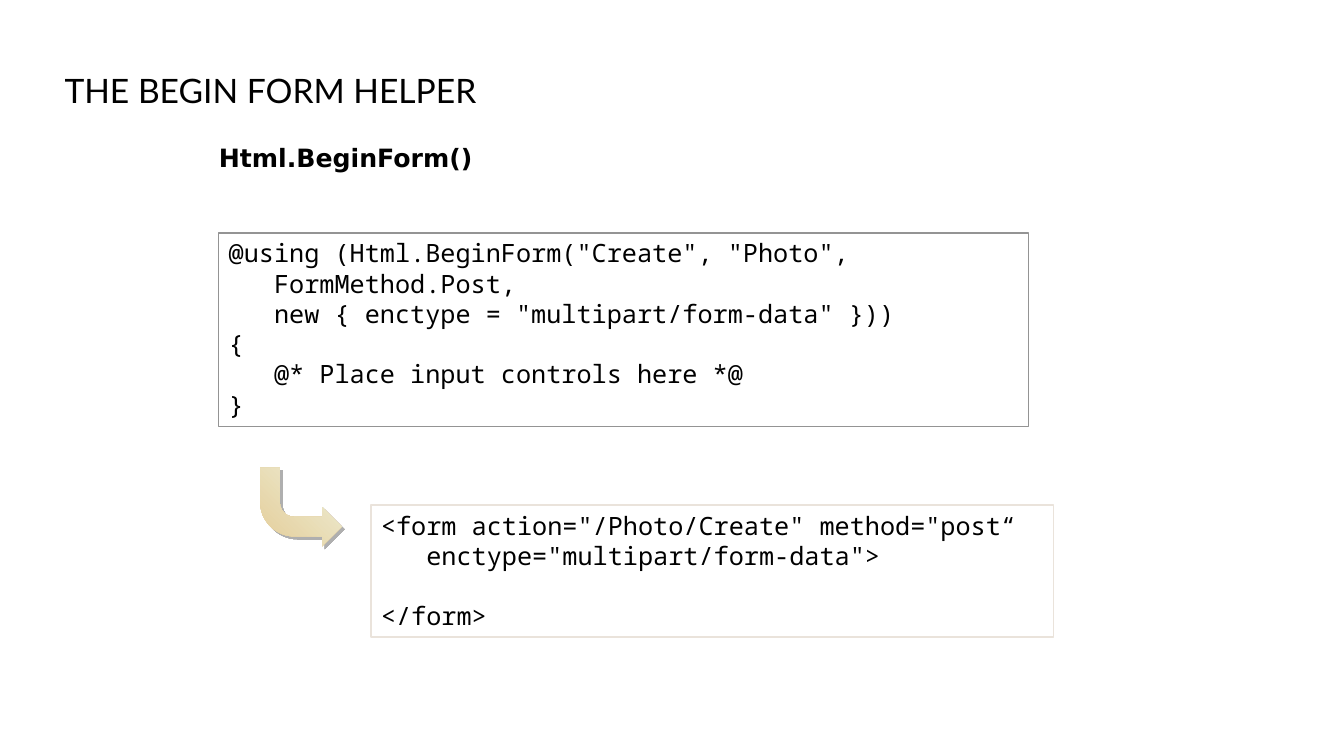
from pptx import Presentation
from pptx import util as u
from pptx.dml.color import RGBColor
from pptx.enum import shapes, text
from pptx.oxml import parse_xml
from pptx.oxml.ns import nsdecls

COLORS = {
    "ink": "000000",
    "paper": "FFFFFF",
    "razor_border": "949494",
    "html_border": "EAE3DB",
    "arrow_start": "E4CD9A",
    "arrow_end": "EEEFD7",
    "arrow_shadow": "AFAFAF",
}


def rgb(name):
    return RGBColor.from_string(COLORS[name])


def add_run(paragraph, wording, font, size, bold=False):
    run = paragraph.add_run()
    run.text = wording
    run.font.name = font
    run.font.size = u.Pt(size)
    run.font.bold = bold
    run.font.color.rgb = rgb("ink")


deck = Presentation()
deck.slide_width = u.Inches(13.33)
deck.slide_height = u.Inches(7.5)
slide = deck.slides.add_slide(deck.slide_layouts[6])

headings = [
    ("THE BEGIN FORM HELPER", (0.64, 0.25, 12.05, 0.9), "Lato", 24, False,
     text.MSO_ANCHOR.BOTTOM, (0, 0.05, 0.1, 0.05), 0.9),
    ("Html.BeginForm()", (2.17, 1.41, 8.88, 0.69), "DejaVu Sans", 18, True,
     text.MSO_ANCHOR.TOP, (0, 0, 0, 0), 1.0),
]
for wording, place, font, size, bold, anchor, margins, spacing in headings:
    heading = slide.shapes.add_textbox(*map(u.Inches, place)).text_frame
    heading.word_wrap = True
    heading.vertical_anchor = anchor
    (heading.margin_left, heading.margin_top,
     heading.margin_right, heading.margin_bottom) = map(u.Inches, margins)
    heading.paragraphs[0].line_spacing = spacing
    add_run(heading.paragraphs[0], wording, font, size, bold)

code_blocks = [
    ((2.17, 2.31, 8.03, 1.92), "razor_border", [
        ('@using (Html.BeginForm("Create", "Photo",', 0, 0),
        ("FormMethod.Post,", 1, 0),
        ('new { enctype = "multipart/form-data" }))', 1, 0),
        ("{", 0, 0),
        ("@* Place input controls here *@", 1, 0),
        ("}", 0, 0),
    ]),
    ((3.68, 5.01, 6.77, 1.31), "html_border", [
        ('<form action="/Photo/Create" method="post“', 0, 0),
        ('enctype="multipart/form-data">', 1, 0),
        ("</form>", 0, 21.5),
    ]),
]
for place, border, lines in code_blocks:
    code_box = slide.shapes.add_shape(
        shapes.MSO_SHAPE.RECTANGLE, *map(u.Inches, place))
    code_box.shadow.inherit = False
    code_box.fill.solid()
    code_box.fill.fore_color.rgb = rgb("paper")
    code_box.line.color.rgb = rgb(border)
    code_box.line.width = u.Pt(1)
    code = code_box.text_frame
    code.word_wrap = True
    code.auto_size = text.MSO_AUTO_SIZE.SHAPE_TO_FIT_TEXT
    code.vertical_anchor = text.MSO_ANCHOR.TOP
    for number, (wording, level, gap) in enumerate(lines):
        line = code.add_paragraph() if number else code.paragraphs[0]
        line.alignment = text.PP_ALIGN.LEFT
        line.space_before = u.Pt(gap)
        line._p.get_or_add_pPr().set("marL", str(u.Inches(0.45 * level)))
        add_run(line, wording, "Noto Sans Mono", 18)

arrow = slide.shapes.add_shape(
    shapes.MSO_SHAPE.BENT_ARROW, *map(u.Inches, (2.58, 4.64, 0.81, 0.78)))
arrow.shadow.inherit = False
arrow.line.fill.background()
arrow.fill.gradient()
arrow.fill.gradient_angle = 315
for stop, color in zip(arrow.fill.gradient_stops, ("arrow_start", "arrow_end")):
    stop.color.rgb = rgb(color)
arrow_props = arrow._element.spPr
arrow_props.xfrm.set("flipV", "1")
arrow_props.find("{*}effectLst").append(parse_xml(
    f'<a:outerShdw {nsdecls("a")} blurRad="0" dist="{u.Pt(2.8)}" '
    f'dir="{45 * 60000}" algn="ctr" rotWithShape="0">'
    f'<a:srgbClr val="{COLORS["arrow_shadow"]}"/></a:outerShdw>'))

deck.save("out.pptx")
